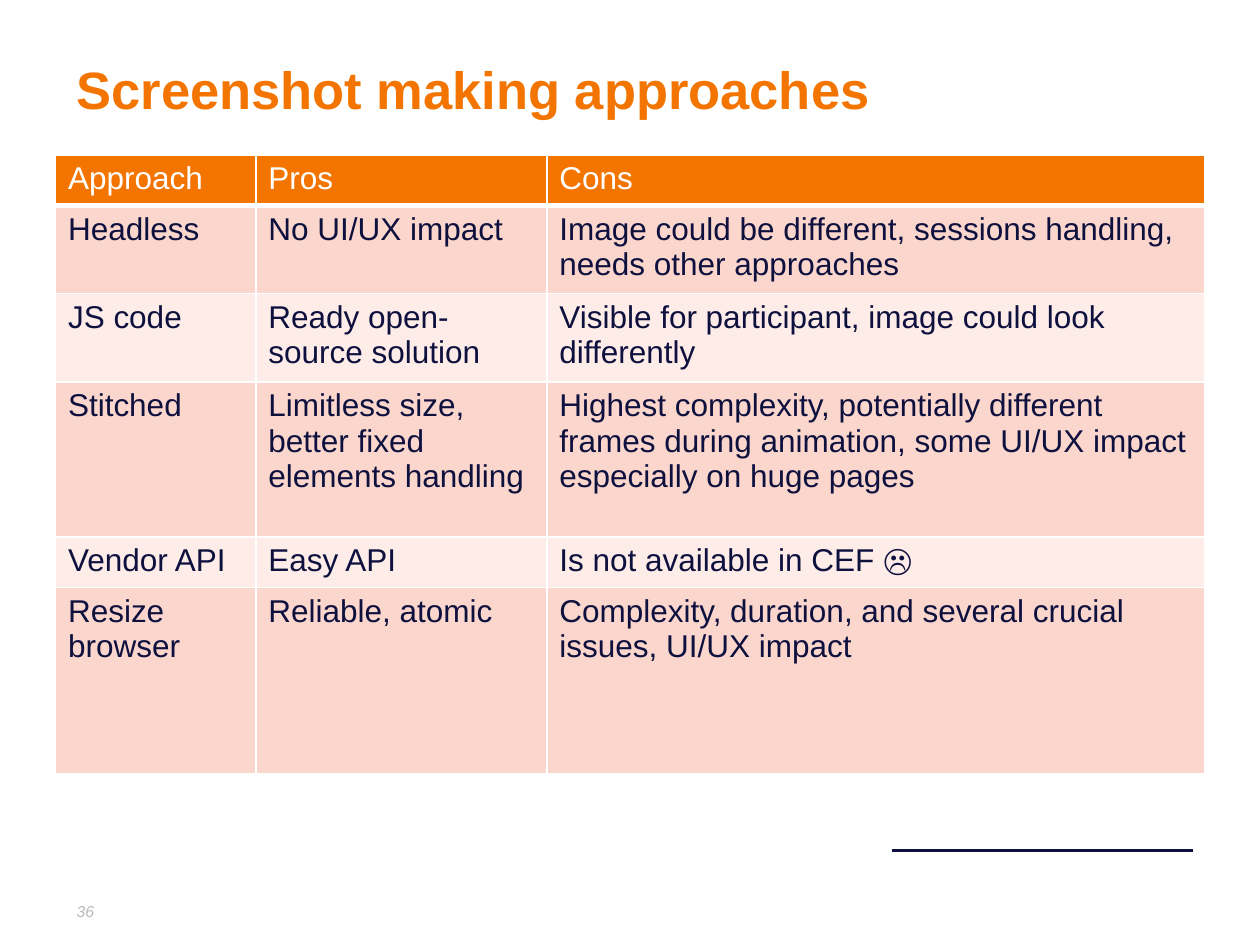
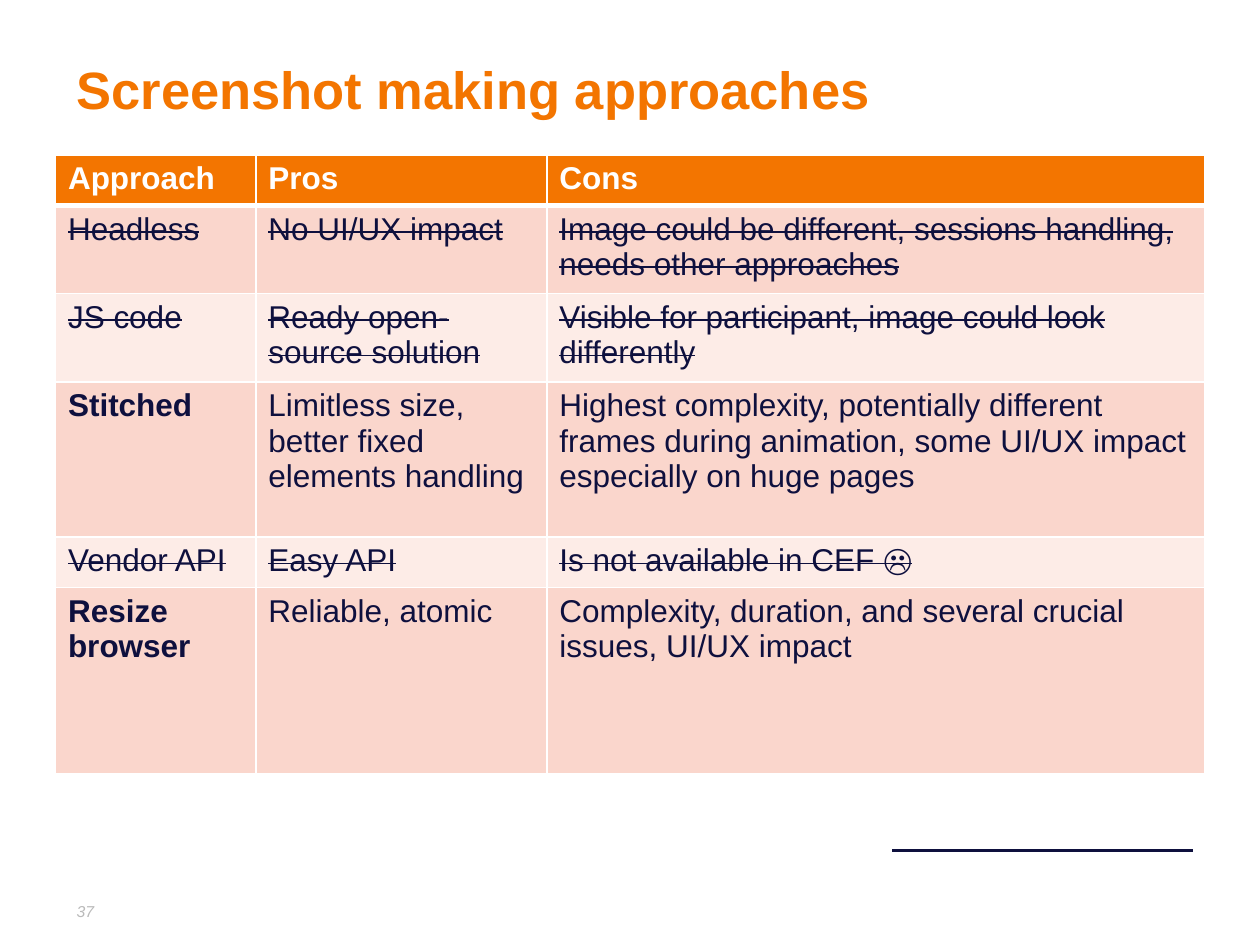
"""Two slides comparing screenshot approaches, before and after the choice."""
from lxml import etree
from pptx import Presentation
from pptx import util as u
from pptx.dml.color import RGBColor
from pptx.enum import shapes, text
from pptx.oxml.ns import qn

TITLE = "Screenshot making approaches"
HEADER = ("Approach", "Pros", "Cons")
ROWS = [
    ("Headless", "No UI/UX impact",
     "Image could be different, sessions handling, needs other approaches"),
    ("JS code", "Ready open-source solution",
     "Visible for participant, image could look differently"),
    ("Stitched", "Limitless size, better fixed elements handling",
     "Highest complexity, potentially different frames during animation, "
     "some UI/UX impact especially on huge pages"),
    ("Vendor API", "Easy API", "Is not available in CEF ☹"),
    ("Resize browser", "Reliable, atomic",
     "Complexity, duration, and several crucial issues, UI/UX impact"),
]
SLIDES = [
    {"number": 36, "bold_header": False, "chosen": (), "rejected": ()},
    {"number": 37, "bold_header": True, "chosen": ("Stitched", "Resize browser"),
     "rejected": ("Headless", "JS code", "Vendor API")},
]

ORANGE, NAVY, GREY, WHITE = "F37500", "0E103E", "BABABA", "FFFFFF"
BANDS = ("FAD6CC", "FDECE7")
WIDTH, HEIGHT = 10, 7.5
MARGIN = 0.51
COLS = (1.59, 2.31, 5.22)
HEIGHTS = (0.38, 0.66, 0.66, 1.23, 0.38, 1.48)
TABLE_TOP = 1.23
RULE = (7.08, 9.47, 6.75)


def rgb(value):
    return RGBColor.from_string(value)


def write(tf, words, color, strike=False, **fmt):
    p = tf.paragraphs[0]
    r = p.add_run()
    r.text = words
    for name, value in {"name": "Arial", "bold": False, **fmt}.items():
        setattr(r.font, name, value)
    r.font.color.rgb = rgb(color)
    if strike:
        r._r.get_or_add_rPr().set("strike", "sngStrike")
    return p


def add_label(s, box, words, color, anchor, **fmt):
    tf = s.shapes.add_textbox(*map(u.Inches, box)).text_frame
    tf.word_wrap = True
    tf.vertical_anchor = anchor
    return write(tf, words, color, **fmt)


def add_borders(cell, top, bottom):
    tc_pr = cell._tc.get_or_add_tcPr()
    edges = {"lnL": 1, "lnR": 1, "lnT": top, "lnB": bottom}
    for i, (tag, width) in enumerate(edges.items()):
        ln = etree.Element(qn(f"a:{tag}"), w=str(u.Pt(width)))
        fill = etree.SubElement(ln, qn("a:solidFill"))
        etree.SubElement(fill, qn("a:srgbClr"), val=WHITE)
        tc_pr.insert(i, ln)


def add_frame(s, number):
    left, right, y = map(u.Inches, RULE)
    sp = s.shapes.add_connector(shapes.MSO_CONNECTOR.STRAIGHT, left, y, right, y)
    sp.line.color.rgb = rgb(NAVY)
    sp.line.width = u.Pt(1.5)
    etree.SubElement(sp._element.spPr, qn("a:effectLst"))
    p = add_label(s, (MARGIN, 0.46, 8.95, 1.04), TITLE, ORANGE,
                  text.MSO_ANCHOR.TOP, size=u.Pt(30), bold=True)
    p.line_spacing = 0.9
    add_label(s, (MARGIN, 7.03, 0.4, 0.4), str(number), GREY,
              text.MSO_ANCHOR.MIDDLE, size=u.Pt(9), italic=True)


def add_approaches(s, bold_header, chosen, rejected):
    left = (WIDTH - sum(COLS)) / 2
    box = map(u.Inches, (left, TABLE_TOP, sum(COLS), sum(HEIGHTS)))
    table = s.shapes.add_table(len(HEIGHTS), len(COLS), *box).table
    for col, width in zip(table.columns, COLS):
        col.width = u.Inches(width)
    for i, (row, height) in enumerate(zip([HEADER, *ROWS], HEIGHTS)):
        table.rows[i].height = u.Inches(height)
        head = i == 0
        for j, words in enumerate(row):
            cell = table.cell(i, j)
            cell.fill.solid()
            cell.fill.fore_color.rgb = rgb(ORANGE if head else BANDS[(i - 1) % 2])
            add_borders(cell, 3 if i == 1 else 1, 3 if head else 1)
            write(cell.text_frame, words, WHITE if head else NAVY,
                  strike=row[0] in rejected, size=u.Pt(18),
                  bold=bold_header if head else words in chosen)


def main():
    prs = Presentation()
    prs.slide_width, prs.slide_height = u.Inches(WIDTH), u.Inches(HEIGHT)
    for page in SLIDES:
        s = prs.slides.add_slide(prs.slide_layouts[6])
        add_frame(s, page["number"])
        add_approaches(s, page["bold_header"], page["chosen"], page["rejected"])
    prs.save("out.pptx")


if __name__ == "__main__":
    main()
